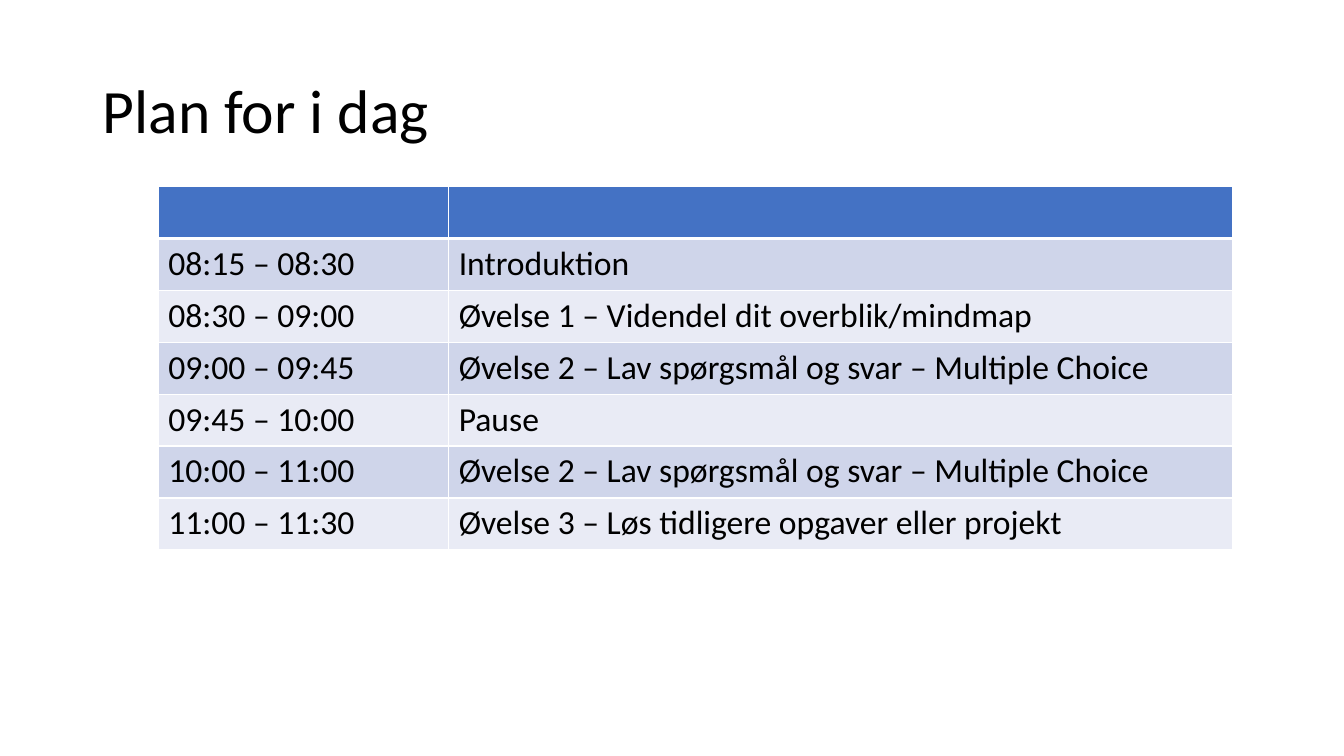
from lxml import etree
from pptx import Presentation
from pptx import util as u
from pptx.dml import color
from pptx.enum import text
from pptx.oxml import ns

TITLE = "Plan for i dag"
PLAN = [
    ("", ""),
    ("08:15 – 08:30", "Introduktion"),
    ("08:30 – 09:00", "Øvelse 1 – Videndel dit overblik/mindmap"),
    ("09:00 – 09:45", "Øvelse 2 – Lav spørgsmål og svar – Multiple Choice"),
    ("09:45 – 10:00", "Pause"),
    ("10:00 – 11:00", "Øvelse 2 – Lav spørgsmål og svar – Multiple Choice"),
    ("11:00 – 11:30", "Øvelse 3 – Løs tidligere opgaver eller projekt"),
]
COLUMN_WIDTHS = (2.88, 7.78)
ROW_HEIGHT = 0.515
HEADER_FILL = "4472C4"
BAND_FILLS = ("E9EBF5", "CFD5EA")
BORDER = "FFFFFF"


def rgb(hex_color):
    return color.RGBColor.from_string(hex_color)


def write(frame, words, size=24, font="Calibri", ink="000000", spacing=1.0):
    paragraph = frame.paragraphs[0]
    paragraph.line_spacing = spacing
    paragraph.font.size = u.Pt(size)
    if words:
        run = paragraph.add_run()
        run.text = words
        run.font.size = u.Pt(size)
        run.font.name = font
        run.font.color.rgb = rgb(ink)


def add_borders(cell, bottom):
    properties = cell._tc.get_or_add_tcPr()
    widths = {"lnL": 1, "lnR": 1, "lnT": 1, "lnB": bottom}
    for position, (side, width) in enumerate(widths.items()):
        line = etree.Element(ns.qn("a:" + side), w=str(u.Pt(width)))
        fill = etree.SubElement(line, ns.qn("a:solidFill"))
        etree.SubElement(fill, ns.qn("a:srgbClr"), val=BORDER)
        properties.insert(position, line)


def add_title(slide):
    title = slide.shapes.add_textbox(
        u.Inches(0.92), u.Inches(0.4), u.Inches(11.5), u.Inches(1.45))
    frame = title.text_frame
    frame.word_wrap = True
    frame.vertical_anchor = text.MSO_ANCHOR.MIDDLE
    write(frame, TITLE, size=44, spacing=0.9)


def add_plan(slide):
    plan = slide.shapes.add_table(
        len(PLAN), len(COLUMN_WIDTHS), u.Inches(1.57), u.Inches(1.85),
        u.Inches(sum(COLUMN_WIDTHS)), u.Inches(ROW_HEIGHT * len(PLAN))).table
    for column, width in zip(plan.columns, COLUMN_WIDTHS):
        column.width = u.Inches(width)
    for r, entry in enumerate(PLAN):
        plan.rows[r].height = u.Inches(ROW_HEIGHT)
        for c, words in enumerate(entry):
            cell = plan.cell(r, c)
            cell.fill.solid()
            cell.fill.fore_color.rgb = rgb(BAND_FILLS[r % 2] if r else HEADER_FILL)
            add_borders(cell, bottom=1 if r else 3)
            write(cell.text_frame, words)


def main():
    deck = Presentation()
    deck.slide_width, deck.slide_height = u.Inches(13.33), u.Inches(7.5)
    slide = deck.slides.add_slide(deck.slide_layouts[6])
    add_title(slide)
    add_plan(slide)
    deck.save("out.pptx")


if __name__ == "__main__":
    main()
